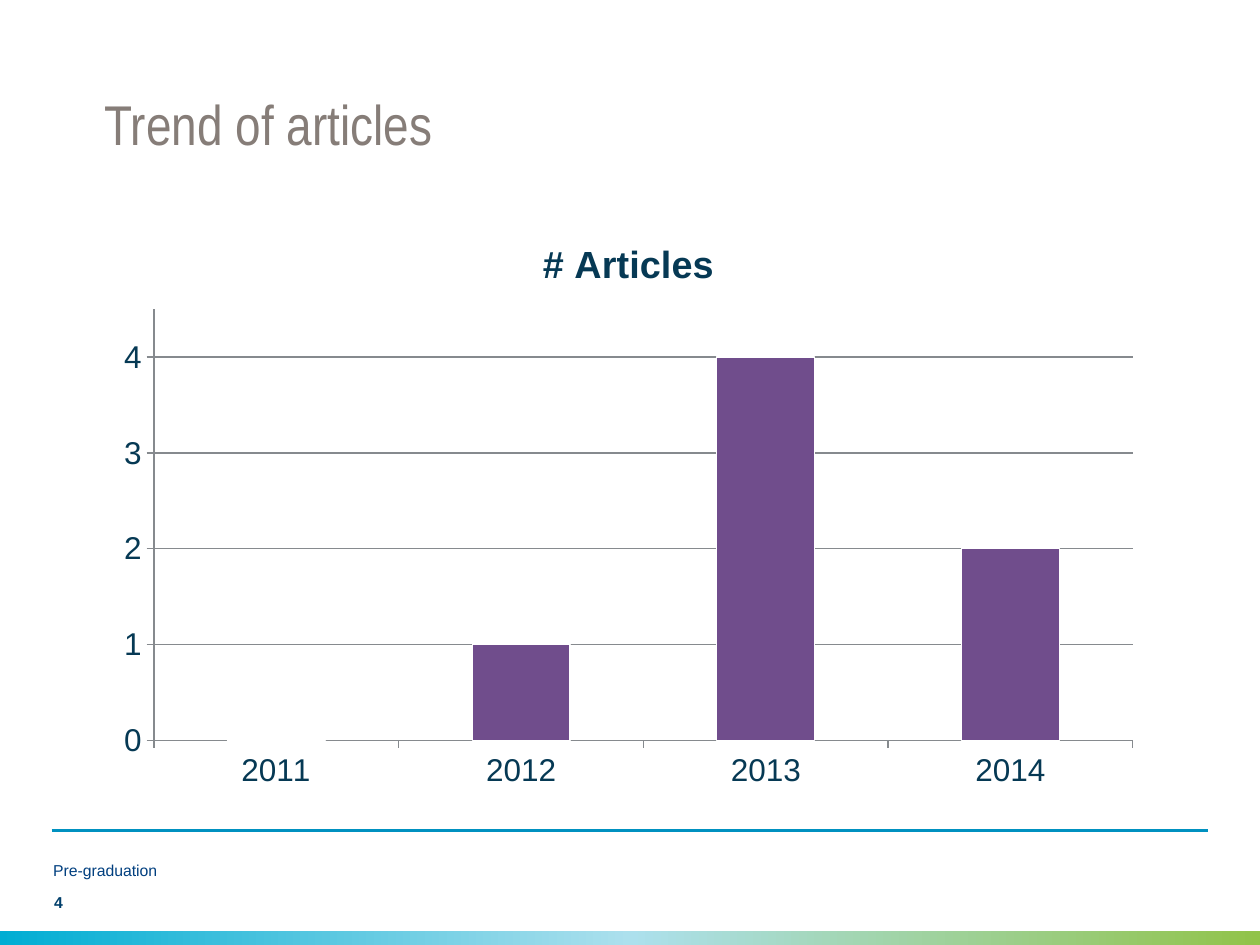
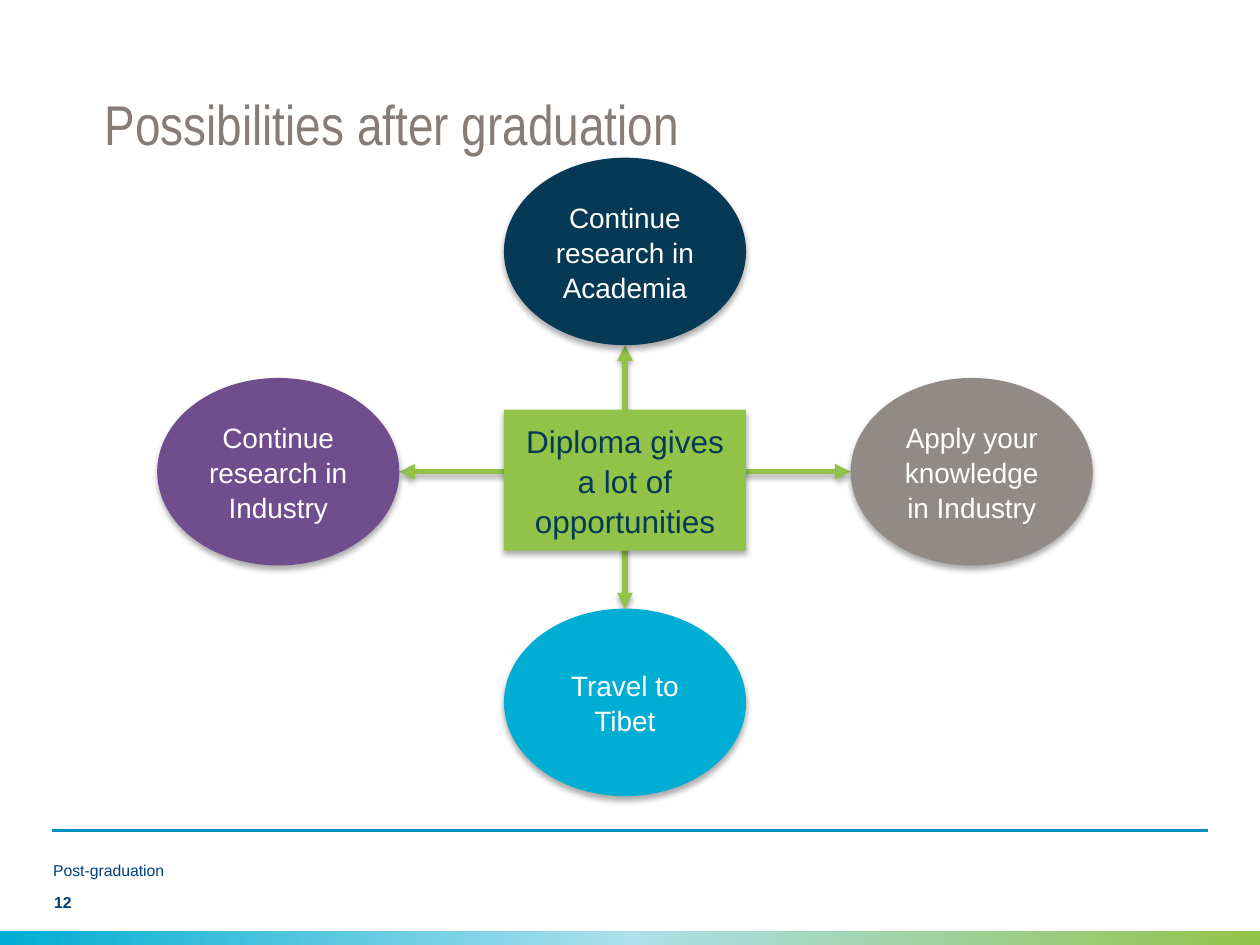
from copy import deepcopy
from dataclasses import dataclass

from lxml import etree
from pptx import Presentation
from pptx.chart.data import CategoryChartData
from pptx.dml.color import RGBColor
from pptx.enum.chart import XL_CHART_TYPE, XL_TICK_MARK
from pptx.enum.shapes import MSO_CONNECTOR, MSO_SHAPE
from pptx.enum.text import MSO_ANCHOR, PP_ALIGN
from pptx.oxml.ns import qn
from pptx.shapes.autoshape import Shape
from pptx.shapes.connector import Connector
from pptx.slide import Slide
from pptx.text.text import TextFrame
from pptx.util import Cm, Pt

COLUMN_CLUSTERED = XL_CHART_TYPE.COLUMN_CLUSTERED
TICK_OUTSIDE = XL_TICK_MARK.OUTSIDE
STRAIGHT = MSO_CONNECTOR.STRAIGHT
RECTANGLE = MSO_SHAPE.RECTANGLE
OVAL = MSO_SHAPE.OVAL
MIDDLE = MSO_ANCHOR.MIDDLE
LEFT = PP_ALIGN.LEFT
CENTER = PP_ALIGN.CENTER

# Palette
WHITE = RGBColor(0xFF, 0xFF, 0xFF)
NAVY = RGBColor(0x06, 0x39, 0x54)
CYAN = RGBColor(0x00, 0xAD, 0xD3)
PALE_CYAN = RGBColor(0xAC, 0xE0, 0xED)
GREEN = RGBColor(0x91, 0xC3, 0x49)
PURPLE = RGBColor(0x70, 0x4D, 0x8C)
WARM_GREY = RGBColor(0x91, 0x8A, 0x86)
TITLE_GREY = RGBColor(0x86, 0x7D, 0x78)
AXIS_GREY = RGBColor(0x86, 0x8A, 0x8E)
RULE_BLUE = RGBColor(0x00, 0x91, 0xC0)
FOOTER_BLUE = RGBColor(0x00, 0x3F, 0x7F)
NUMBER_BLUE = RGBColor(0x00, 0x3F, 0x6B)

BODY_FONT = "Arial"
TITLE_FONT = "Arial Narrow"

# Page, in centimetres
SLIDE_WIDTH, SLIDE_HEIGHT = 25.4, 19.05
RULE_TOP, RULE_MARGIN = 16.74, 1.04
BAND_HEIGHT = 0.28

# Opportunity diagram, in centimetres
HUB_X, HUB_Y = 12.6, 9.51
NODE_WIDTH, NODE_HEIGHT = 4.88, 3.78
HUB_TOP, HUB_HEIGHT = 8.26, 2.84
SIDE_STEP, UP_STEP, DOWN_STEP = 6.99, 4.44, 4.65


@dataclass(frozen=True)
class Box:
    left: float
    top: float
    width: float
    height: float

    def lengths(self) -> tuple[Cm, Cm, Cm, Cm]:
        return Cm(self.left), Cm(self.top), Cm(self.width), Cm(self.height)


@dataclass(frozen=True)
class TextStyle:
    size: float
    color: RGBColor
    font: str = BODY_FONT
    bold: bool = False
    alignment: PP_ALIGN = LEFT
    spacing: float = 1.0


@dataclass(frozen=True)
class Shadow:
    opacity: int
    blur: float
    distance: float


@dataclass(frozen=True)
class Node:
    text: str
    offset_x: float
    offset_y: float
    color: RGBColor

    def box(self) -> Box:
        return Box(HUB_X + self.offset_x - NODE_WIDTH / 2,
                   HUB_Y + self.offset_y - NODE_HEIGHT / 2, NODE_WIDTH, NODE_HEIGHT)


TITLE_BOX = Box(2.11, 1.73, 21.16, 1.52)
FOOTER_BOX = Box(1.07, 17.32, 15.62, 0.46)
NUMBER_BOX = Box(1.09, 17.98, 5.92, 0.43)
CHART_BOX = Box(2.08, 4.32, 21.18, 11.81)
HUB_BOX = Box(HUB_X - NODE_WIDTH / 2, HUB_TOP, NODE_WIDTH, HUB_HEIGHT)

TITLE_STYLE = TextStyle(32, TITLE_GREY, font=TITLE_FONT)
FOOTER_STYLE = TextStyle(9, FOOTER_BLUE)
NUMBER_STYLE = TextStyle(9, NUMBER_BLUE, bold=True)
NODE_STYLE = TextStyle(16, WHITE, alignment=CENTER, spacing=1.05)
HUB_STYLE = TextStyle(18, NAVY, alignment=CENTER, spacing=1.05)

SHAPE_SHADOW = Shadow(32, 3.5, 2.2)
ARROW_SHADOW = Shadow(35, 3.1, 1.8)

NODES = [
    Node("Apply your knowledge in Industry", SIDE_STEP, 0, WARM_GREY),
    Node("Continue research in Industry", -SIDE_STEP, 0, PURPLE),
    Node("Continue research in Academia", 0, -UP_STEP, NAVY),
    Node("Travel to Tibet", 0, DOWN_STEP, CYAN),
]
ARTICLES_BY_YEAR = {"2011": 0, "2012": 1, "2013": 4, "2014": 2}


def write_text(text_frame: TextFrame, text: str, style: TextStyle) -> None:
    text_frame.text = text
    text_frame.word_wrap = True
    text_frame.vertical_anchor = MIDDLE
    paragraph = text_frame.paragraphs[0]
    paragraph.alignment = style.alignment
    paragraph.line_spacing = style.spacing
    font = paragraph.runs[0].font
    font.name, font.size, font.bold = style.font, Pt(style.size), style.bold
    font.color.rgb = style.color


def add_text(slide: Slide, box: Box, text: str, style: TextStyle) -> None:
    text_frame = slide.shapes.add_textbox(*box.lengths()).text_frame
    text_frame.margin_left = text_frame.margin_right = 0
    text_frame.margin_top = text_frame.margin_bottom = 0
    write_text(text_frame, text, style)


def add_block(slide: Slide, kind: MSO_SHAPE, box: Box) -> Shape:
    shape = slide.shapes.add_shape(kind, *box.lengths())
    shape.shadow.inherit = False
    shape.line.fill.background()
    return shape


def add_line(slide: Slide, start: tuple[float, float], end: tuple[float, float],
             color: RGBColor, width: float) -> Connector:
    connector = slide.shapes.add_connector(
        STRAIGHT, Cm(start[0]), Cm(start[1]), Cm(end[0]), Cm(end[1]))
    connector.line.color.rgb = color
    connector.line.width = Pt(width)
    etree.SubElement(connector._element.spPr, qn("a:effectLst"))
    return connector


def add_shadow(shape: Shape | Connector, shadow: Shadow) -> None:
    """Cast a soft black shadow straight down."""
    effects = shape._element.spPr.find(qn("a:effectLst"))
    outer = etree.SubElement(
        effects, qn("a:outerShdw"), blurRad=str(Pt(shadow.blur)),
        dist=str(Pt(shadow.distance)), dir="5400000", rotWithShape="0")
    color = etree.SubElement(outer, qn("a:srgbClr"), val="000000")
    etree.SubElement(color, qn("a:alpha"), val=str(shadow.opacity * 1000))


def add_filled_text(slide: Slide, kind: MSO_SHAPE, box: Box, text: str,
                    color: RGBColor, style: TextStyle) -> None:
    shape = add_block(slide, kind, box)
    shape.fill.solid()
    shape.fill.fore_color.rgb = color
    add_shadow(shape, SHAPE_SHADOW)
    write_text(shape.text_frame, text, style)


def add_double_arrow(slide: Slide, start: tuple[float, float],
                     end: tuple[float, float]) -> None:
    arrow = add_line(slide, start, end, GREEN, 3)
    line = arrow._element.spPr.find(qn("a:ln"))
    for tag in ("a:headEnd", "a:tailEnd"):
        etree.SubElement(line, qn(tag), type="triangle")
    add_shadow(arrow, ARROW_SHADOW)


def add_band(slide: Slide) -> None:
    band = add_block(slide, RECTANGLE,
                     Box(0, SLIDE_HEIGHT - BAND_HEIGHT, SLIDE_WIDTH, BAND_HEIGHT))
    band.fill.gradient()
    band.fill.gradient_angle = 0
    # The default gradient has two stops; a third goes in the middle
    first_stop = band._element.spPr.find(".//" + qn("a:gs"))
    first_stop.addnext(deepcopy(first_stop))
    stops = band.fill.gradient_stops
    for stop, position, color in zip(stops, (0, 0.5, 1), (CYAN, PALE_CYAN, GREEN)):
        stop.position = position
        stop.color.rgb = color


def add_page(presentation: Presentation, title: str, section: str, number: int) -> Slide:
    """Start a slide with the shared rule, band, footer and title."""
    slide = presentation.slides.add_slide(presentation.slide_layouts[6])
    add_line(slide, (RULE_MARGIN, RULE_TOP), (SLIDE_WIDTH - RULE_MARGIN, RULE_TOP),
             RULE_BLUE, 1.42)
    add_band(slide)
    add_text(slide, NUMBER_BOX, str(number), NUMBER_STYLE)
    add_text(slide, FOOTER_BOX, section, FOOTER_STYLE)
    add_text(slide, TITLE_BOX, title, TITLE_STYLE)
    return slide


def add_articles_chart(slide: Slide) -> None:
    data = CategoryChartData(number_format="0")
    data.categories = list(ARTICLES_BY_YEAR)
    data.add_series("# Articles", list(ARTICLES_BY_YEAR.values()))
    chart = slide.shapes.add_chart(COLUMN_CLUSTERED, *CHART_BOX.lengths(), data).chart
    chart.font.name, chart.font.size = BODY_FONT, Pt(18)
    chart.font.color.rgb = NAVY
    chart.has_legend = False

    # Title
    chart.has_title = True
    chart.chart_title.include_in_layout = False
    title_frame = chart.chart_title.text_frame
    title_frame.text = "# Articles"
    title_font = title_frame.paragraphs[0].runs[0].font
    title_font.name, title_font.size, title_font.bold = BODY_FONT, Pt(21.6), True
    title_font.color.rgb = NAVY

    # Axes
    value_axis = chart.value_axis
    value_axis.minimum_scale, value_axis.maximum_scale = 0, 4.5
    value_axis.major_unit = 1
    value_axis.has_major_gridlines = True
    value_axis.tick_labels.number_format = "0"
    value_axis.tick_labels.number_format_is_linked = False
    for axis in (chart.category_axis, value_axis):
        axis.major_tick_mark = TICK_OUTSIDE
    for line in (chart.category_axis.format.line, value_axis.format.line,
                 value_axis.major_gridlines.format.line):
        line.color.rgb = AXIS_GREY
        line.width = Pt(0.75)

    # Columns
    plot = chart.plots[0]
    plot.gap_width = 150
    plot.vary_by_categories = False
    column_format = plot.series[0].format
    column_format.fill.solid()
    column_format.fill.fore_color.rgb = PURPLE
    column_format.line.color.rgb = WHITE
    column_format.line.width = Pt(0.75)


def add_opportunities(slide: Slide) -> None:
    # Arrows run between facing ellipse edges, behind the hub
    reach_x = SIDE_STEP - NODE_WIDTH / 2
    add_double_arrow(slide, (HUB_X + reach_x, HUB_Y), (HUB_X - reach_x, HUB_Y))
    add_double_arrow(slide, (HUB_X, HUB_Y - UP_STEP + NODE_HEIGHT / 2),
                     (HUB_X, HUB_Y + DOWN_STEP - NODE_HEIGHT / 2))
    for node in NODES:
        add_filled_text(slide, OVAL, node.box(), node.text, node.color, NODE_STYLE)
    add_filled_text(slide, RECTANGLE, HUB_BOX, "Diploma gives a lot of opportunities",
                    GREEN, HUB_STYLE)


def main() -> None:
    presentation = Presentation()
    presentation.slide_width = Cm(SLIDE_WIDTH)
    presentation.slide_height = Cm(SLIDE_HEIGHT)

    add_articles_chart(add_page(presentation, "Trend of articles", "Pre-graduation", 4))
    add_opportunities(add_page(presentation, "Possibilities after graduation",
                               "Post-graduation", 12))
    presentation.save("out.pptx")


if __name__ == "__main__":
    main()
